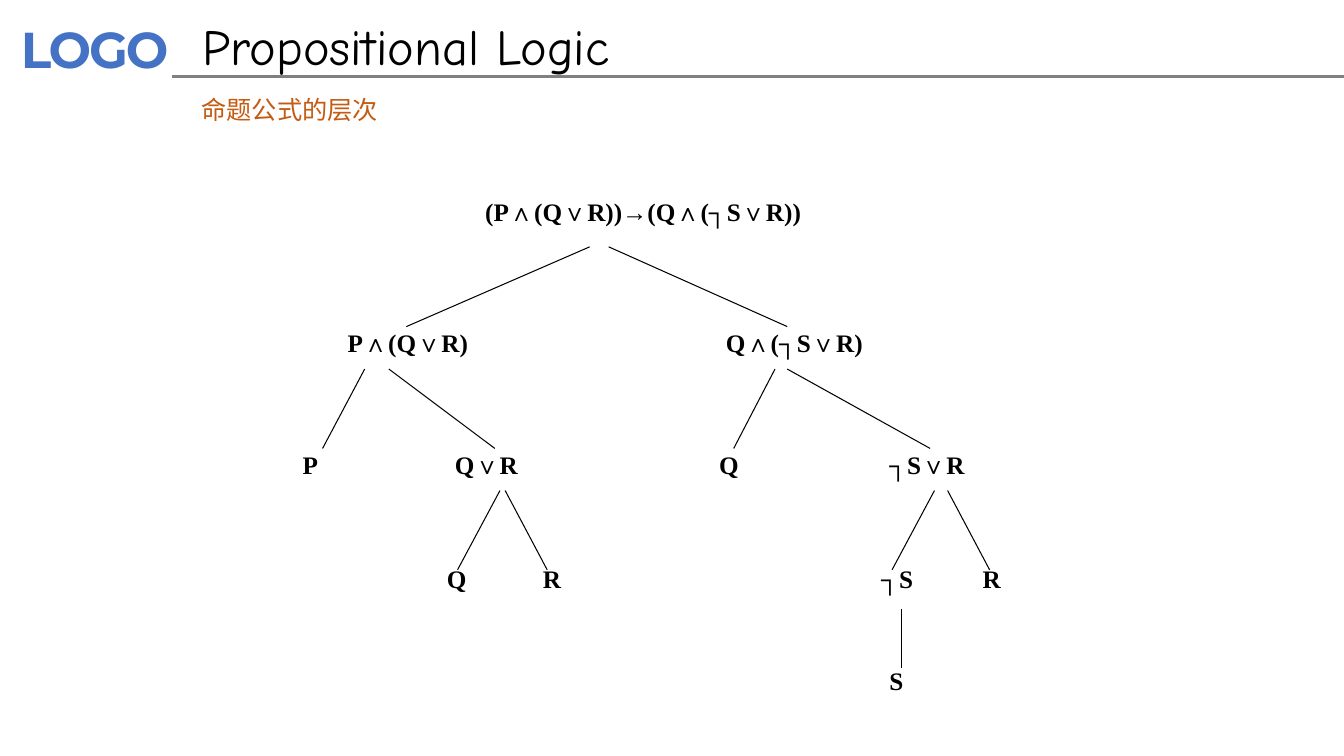
from dataclasses import dataclass

from pptx import Presentation
from pptx import util as u
from pptx.dml import color
from pptx.enum import shapes, text
from pptx.oxml import ns
from lxml import etree


@dataclass(frozen=True)
class Style:
    font: str
    size: float
    color: str
    bold: bool = False
    spacing: int = 0  # hundredths of a point


@dataclass(frozen=True)
class Theme:
    logo: Style = Style("Montserrat", 36, "4472C4", True, -150)
    title: Style = Style("Comic Neue", 36, "000000")
    subtitle: Style = Style("Noto Sans CJK SC", 18, "C55A11")
    formula: Style = Style("Times New Roman", 18, "000000", True)
    east_asian: str = "Noto Sans CJK SC"
    rule: str = "808080"
    rule_width: float = 2
    branch: str = "000000"
    branch_width: float = 0.75


THEME = Theme()
LINE_HEIGHT = 1.02

# Row top, then where the branches below the row start and end
ROWS = [
    (0, 1.39, 3.4),
    (3.3, 4.47, 6.47),
    (6.37, 7.53, 9.53),
    (9.24, 10.51, 12.01),
    (11.81, None, None),
]
# Formula and its centre, row by row
NODES = [
    [("(P∧(Q∨R))→(Q∧(┐S∨R))", 9.21)],
    [("P∧(Q∨R)", 3.28), ("Q∧(┐S∨R)", 13.02)],
    [("P", 0.82), ("Q∨R", 5.26), ("Q", 11.37), ("┐S∨R", 16.36)],
    [("Q", 4.51), ("R", 6.91), ("┐S", 15.61), ("R", 17.99)],
    [("S", 15.59)],
]
# Horizontal start and end of each branch, row by row
BRANCHES = [
    [(7.86, 3.24), (8.34, 12.84)],
    [(2.19, 1.13), (2.8, 5.47), (12.53, 11.49), (12.84, 16.44)],
    [(5.6, 4.53), (5.73, 6.79), (16.55, 15.48), (16.88, 17.94)],
    [(15.71, 15.71)],
    [],
]


def add_text(s, words, left, top, width, height, style, centred=False, inset=0.25):
    sp = s.shapes.add_textbox(u.Cm(left), u.Cm(top), u.Cm(width), u.Cm(height))
    tf = sp.text_frame
    tf.word_wrap = True
    tf.margin_left = tf.margin_right = u.Cm(inset)
    p = tf.paragraphs[0]
    if centred:
        p.alignment = text.PP_ALIGN.CENTER
    r = p.add_run()
    r.text = words
    r.font.name = style.font
    r.font.size = u.Pt(style.size)
    r.font.bold = style.bold
    r.font.color.rgb = color.RGBColor.from_string(style.color)
    props = r.font._element
    etree.SubElement(props, ns.qn("a:ea"), typeface=THEME.east_asian)
    if style.spacing:
        props.set("spc", str(style.spacing))


def add_line(s, x1, y1, x2, y2, rgb, width):
    line = s.shapes.add_connector(
        shapes.MSO_CONNECTOR.STRAIGHT, u.Cm(x1), u.Cm(y1), u.Cm(x2), u.Cm(y2))
    line.line.color.rgb = color.RGBColor.from_string(rgb)
    line.line.width = u.Pt(width)
    etree.SubElement(line._element.spPr, ns.qn("a:effectLst"))


def add_header(s, left, top, width):
    add_text(s, "LOGO", left + 0.2, top + 0.33, 4.72, 1.88, THEME.logo, inset=0.33)
    add_line(s, left + 4.34, top + 1.93, left + width, top + 1.93,
             THEME.rule, THEME.rule_width)
    add_text(s, "Propositional Logic", left + 4.85, top + 0.25, 16, 1.8, THEME.title)
    add_text(s, "命题公式的层次", left + 4.83, top + 2.26, 10.8, LINE_HEIGHT,
             THEME.subtitle)


def add_formula_tree(s, left, top):
    for (row, start, end), nodes, branches in zip(ROWS, NODES, BRANCHES):
        for x1, x2 in branches:
            add_line(s, left + x1, top + start, left + x2, top + end,
                     THEME.branch, THEME.branch_width)
        for formula, centre in nodes:
            width = 1 + 0.5 * len(formula)
            add_text(s, formula, left + centre - width / 2, top + row,
                     width, LINE_HEIGHT, THEME.formula, centred=True)


def main():
    prs = Presentation()
    prs.slide_width, prs.slide_height = u.Cm(33.87), u.Cm(19.05)
    s = prs.slides.add_slide(prs.slide_layouts[6])
    add_header(s, 0, 0, 33.87)
    add_formula_tree(s, 7, 4.83)
    prs.save("out.pptx")


if __name__ == "__main__":
    main()
